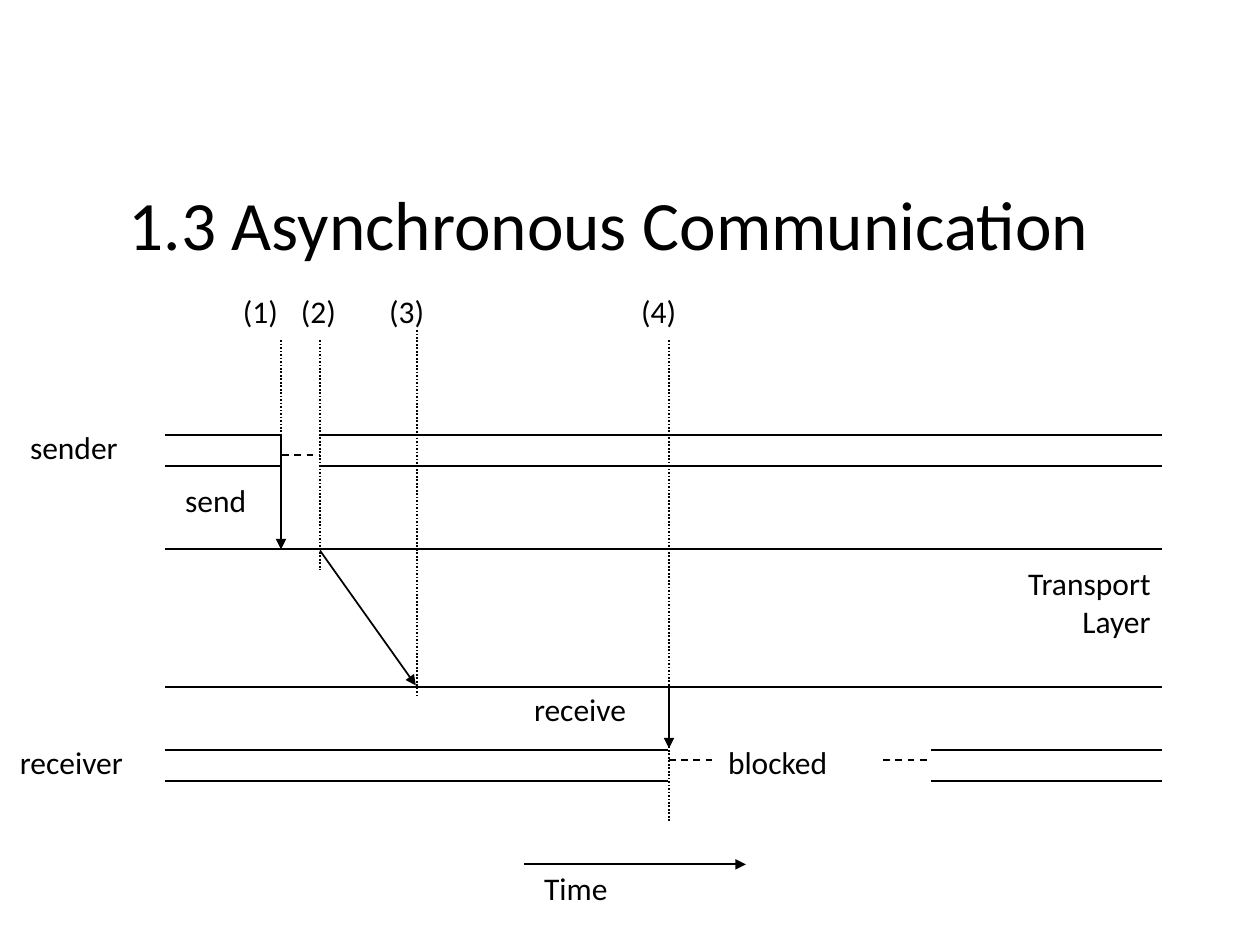
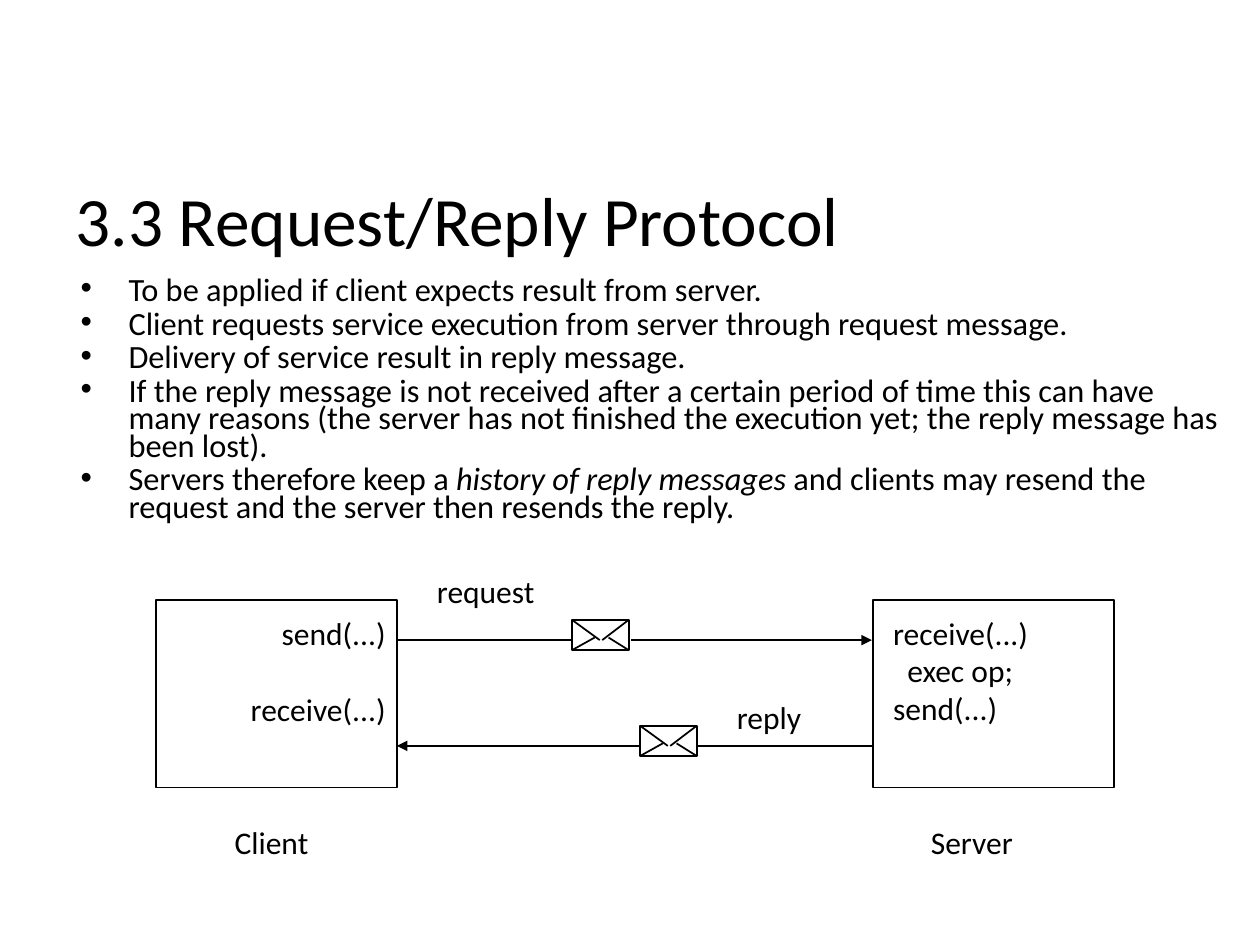
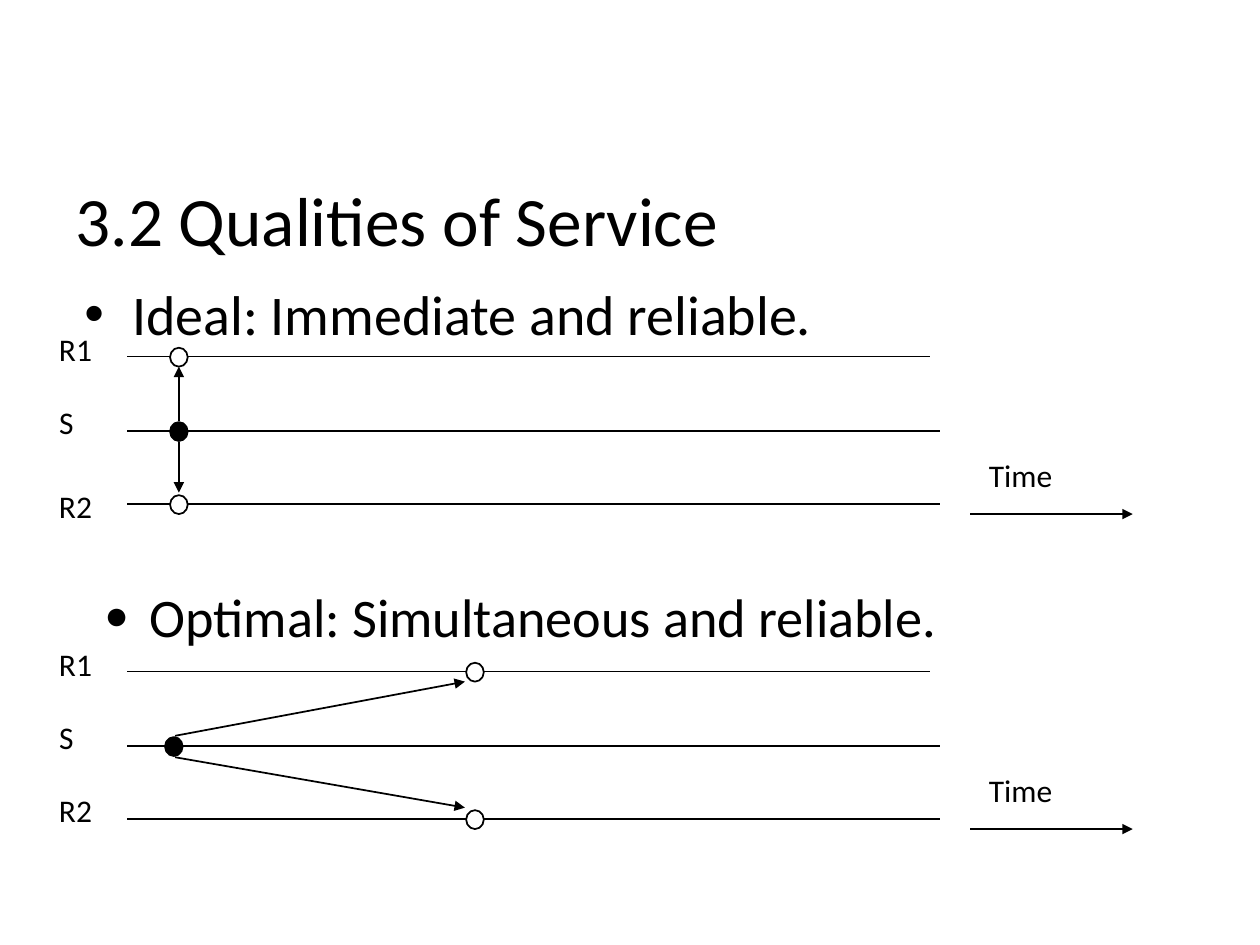
from pptx import Presentation
from pptx import util as u
from pptx.dml.color import RGBColor
from pptx.enum import dml, shapes, text
from pptx.oxml import ns
from lxml import etree

# Shared look: 100 px to the inch
PX = 9144
FONT = "Calibri"
BLACK = RGBColor(0, 0, 0)
WHITE = RGBColor(255, 255, 255)
LEFT, MID, RIGHT = text.PP_ALIGN.LEFT, text.PP_ALIGN.CENTER, text.PP_ALIGN.RIGHT
DASH, DOT = dml.MSO_LINE.DASH, dml.MSO_LINE.ROUND_DOT
TITLE_BOX = (50, 142, 900, 63)

# Slide 1: timeline of an asynchronous call
LABELS = [
    ("Time", 422, 685, 71), ("sender", 14, 335, 90), ("send", 137, 377, 69),
    ("receiver", 6, 585, 103), ("receive", 414, 543, 94), ("blocked", 568, 585, 100),
    ("(1)", 183, 227, 48), ("(2)", 229, 227, 48),
    ("(3)", 299, 227, 48), ("(4)", 499, 227, 48),
]
TRACKS = [  # heights of the lines, their spans
    ((345, 370), [(131, 222), (254, 922)]),
    ((436, 545), [(131, 922)]),
    ((595, 620), [(131, 530), (739, 922)]),
]
ARROWS = [(416, 686, 592, 686), (223, 345, 223, 436),
          (254, 437, 330, 544), (531, 545, 531, 594)]
WAITS = [(224, 253, 361), (531, 569, 603), (701, 738, 603)]
MARKS = [(223, 270, 352), (254, 270, 452), (331, 262, 552), (531, 270, 652)]

# Slide 2: request and reply
POINTS = [
    ["To be applied if client expects result from server."],
    ["Client requests service execution from server through request message."],
    ["Delivery of service result in reply message."],
    ["If the reply message is not received after a certain period of time this can have "
     "many reasons (the server has not finished the execution yet; the reply message has "
     "been lost)."],
    ["Servers therefore keep a ", "history of reply messages",
     " and clients may resend the request and the server then resends the reply."],
]
NODES = [124, 693]
NOTES = [
    ("Client", 176, 648, 79, MID), ("Server", 729, 648, 86, LEFT),
    ("request", 337, 449, 263, LEFT), ("reply", 575, 549, 101, LEFT),
]
MAILS = [(454, 492), (508, 576)]
FLAPS = [(0, 0, 22, 16), (24, 16, 45, 0), (18, 14, 0, 24), (29, 14, 45, 24)]
LINKS = [((316, 508, 453, 508), False), ((501, 508, 692, 508), True),
         ((693, 592, 553, 592), False), ((508, 592, 315, 592), True)]

# Slide 3: top line, sender dot, receiver dots, arrow ends, R2 label
CASES = [(283, 142, 142, (142, 142), 382), (533, 138, 377, (139, 369), 623)]
ENDS = (738, 746, 746)
STEPS = (0, 59, 117)


def emu(*nums):
    return [n * PX for n in nums]


def style(par, size, align=LEFT):
    par.alignment = align
    par.font.name, par.font.size = FONT, u.Pt(size)
    par.font.color.rgb = BLACK


def indent(par, px):
    props = par._p.get_or_add_pPr()
    props.set("marL", str(px * PX))
    props.set("indent", str(-px * PX))
    return props


def place(shape, box):
    shape.left, shape.top, shape.width, shape.height = emu(*box)
    shape.text_frame.auto_size = text.MSO_AUTO_SIZE.NONE
    return shape.text_frame


def start(deck, layout, title, box=TITLE_BOX):
    slide = deck.slides.add_slide(deck.slide_layouts[layout])
    frame = place(slide.shapes.title, box)
    frame.text = title
    frame.vertical_anchor = text.MSO_ANCHOR.MIDDLE
    style(frame.paragraphs[0], 39.6)
    return slide


def label(slide, words, x, y, w, h=40, align=LEFT, wrap=False):
    frame = slide.shapes.add_textbox(*emu(x, y, w, h)).text_frame
    frame.word_wrap = wrap
    frame.text = words
    for par in frame.paragraphs:
        style(par, 18, align)
    return frame


def line(host, ends, head=False, dash=None):
    link = host.shapes.add_connector(shapes.MSO_CONNECTOR.STRAIGHT, *emu(*ends))
    link.line.color.rgb = BLACK
    link.line.width = u.Pt(1)
    if dash:
        link.line.dash_style = dash
    props = link.element.spPr
    if head:
        tail = etree.SubElement(props.find(ns.qn("a:ln")), ns.qn("a:tailEnd"))
        tail.set("type", "triangle")
    etree.SubElement(props, ns.qn("a:effectLst"))


def solid(host, kind, box, fill=None):
    shape = host.shapes.add_shape(kind, *emu(*box))
    shape.shadow.inherit = False
    shape.line.color.rgb = BLACK
    shape.line.width = u.Pt(1)
    if fill is None:
        shape.fill.background()
    else:
        shape.fill.solid()
        shape.fill.fore_color.rgb = fill


def dot(slide, x, y, fill):
    solid(slide, shapes.MSO_SHAPE.OVAL, (x - 7, y - 7, 14, 15), fill)


def mail(slide, x, y):
    group = slide.shapes.add_group_shape()
    solid(group, shapes.MSO_SHAPE.RECTANGLE, (x, y, 45, 24))
    for a, b, c, d in FLAPS:
        line(group, (x + a, y + b, x + c, y + d))


def async_slide(deck):
    slide = start(deck, 5, "1.3 Asynchronous Communication", (92, 153, 846, 47))
    for rows, spans in TRACKS:
        for y in rows:
            for x1, x2 in spans:
                line(slide, (x1, y, x2, y))
    for ends in ARROWS:
        line(slide, ends, head=True)
    for x1, x2, y in WAITS:
        line(slide, (x1, y, x2, y), dash=DASH)
    for x, y1, y2 in MARKS:
        line(slide, (x, y1, x, y2), dash=DOT)
    for item in LABELS:
        label(slide, *item)
    label(slide, "Transport Layer", 762, 443, 161, 70, RIGHT, True)


def reply_slide(deck):
    slide = start(deck, 1, "3.3 Request/Reply Protocol")
    frame = place(slide.placeholders[1], (54, 217, 927, 217))
    for i, parts in enumerate(POINTS):
        par = frame.add_paragraph() if i else frame.paragraphs[0]
        indent(par, 38)
        par.line_spacing = 0.7
        par.space_before = u.Pt(3.7 if i else 0)
        style(par, 18.5)
        for j, part in enumerate(parts):
            run = par.add_run()
            run.text = part
            if j == 1:
                run.font.italic = True

    # Client and server with their calls
    for x in NODES:
        solid(slide, shapes.MSO_SHAPE.RECTANGLE, (x, 476, 191, 149))
    calls = label(slide, "send(...)\nreceive(...)", 188, 482, 128, 101, RIGHT)
    calls.paragraphs[1].space_before = u.Pt(22)
    label(slide, "receive(...)\n  exec op;\nsend(...)", 699, 482, 128, 101)
    for words, x, y, w, align in NOTES:
        label(slide, words, x, y, w, align=align)

    # Messages between them
    for spot in MAILS:
        mail(slide, *spot)
    for ends, head in LINKS:
        line(slide, ends, head)


def quality_slide(deck):
    slide = start(deck, 1, "3.2 Qualities of Service")
    frame = place(slide.placeholders[1], (57, 217, 869, 225))
    frame.text = "Ideal: Immediate and reliable."
    par = frame.paragraphs[0]
    indent(par, 38)
    par.space_before = u.Pt(0)
    style(par, 32)

    # Second heading with its own bullet
    frame = label(slide, "Optimal: Simultaneous and reliable.", 73, 458, 869, 225, wrap=True)
    par = frame.paragraphs[0]
    props = indent(par, 36)
    for old in props.findall(ns.qn("a:defRPr")):
        props.remove(old)
    for tag, key, value in [("a:buSzPct", "val", "75000"), ("a:buFont", "typeface", "Arial"),
                            ("a:buChar", "char", "●")]:
        etree.SubElement(props, ns.qn(tag)).set(key, value)
    style(par, 31)

    # One time diagram per quality
    for top, send, get, (x1, x2), low in CASES:
        for step, end in zip(STEPS, ENDS):
            line(slide, (101, top + step, end, top + step))
        for step, x, fill in zip(STEPS, (get, send, get), (WHITE, BLACK, WHITE)):
            dot(slide, x, top + step, fill)
        line(slide, (x1, top + 51, x2, top + 8), head=True)
        line(slide, (x1, top + 68, x2, top + 108), head=True)
        line(slide, (770, top + 125, 899, top + 125), head=True)
        label(slide, "R1", 37, top - 26, 46)
        label(slide, "S", 37, top + 32, 32)
        label(slide, "R2", 37, low, 46)
        label(slide, "Time", 775, top + 74, 71)


def main():
    deck = Presentation()
    deck.slide_width, deck.slide_height = emu(1000, 750)
    async_slide(deck)
    reply_slide(deck)
    quality_slide(deck)
    deck.save("out.pptx")


if __name__ == "__main__":
    main()
